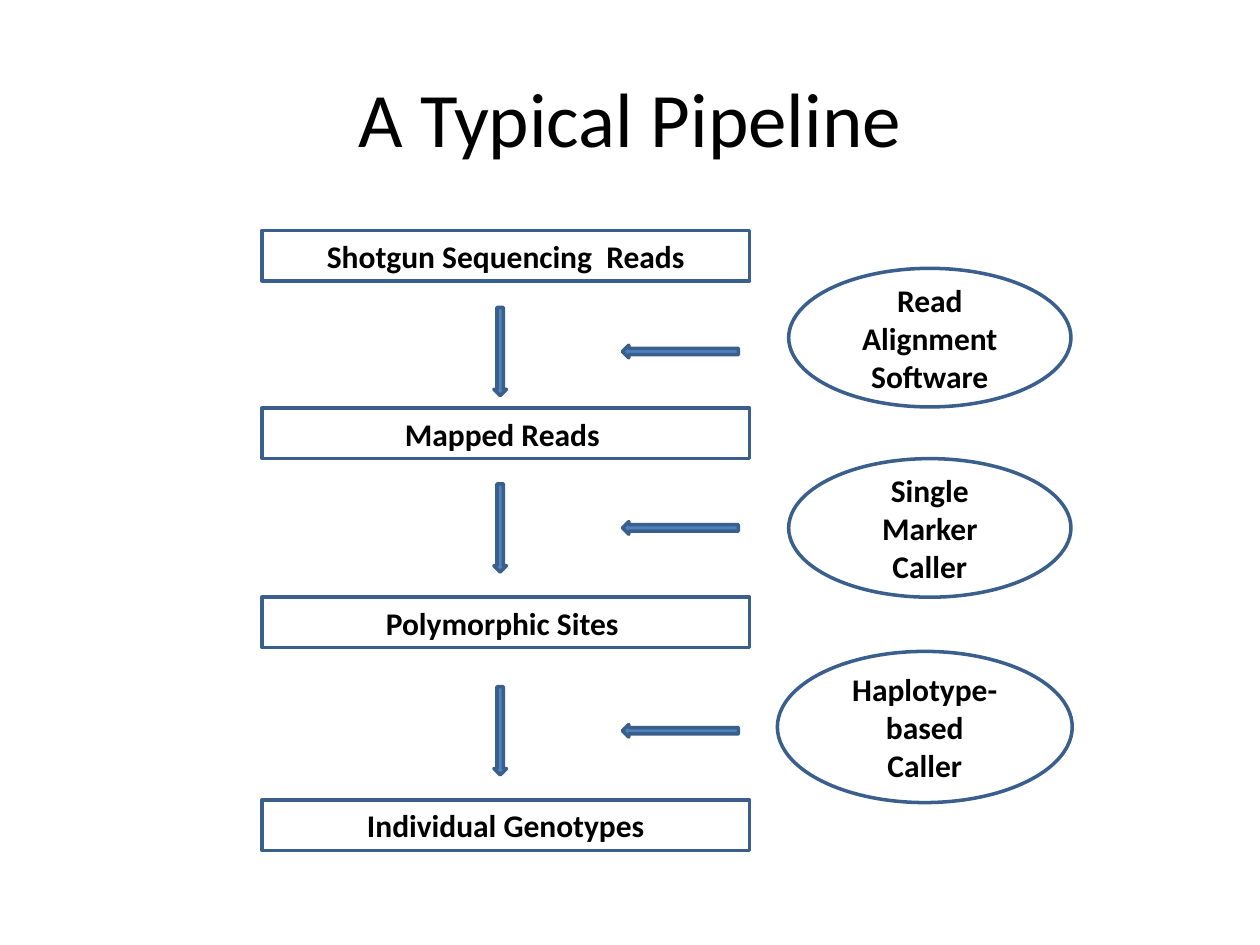
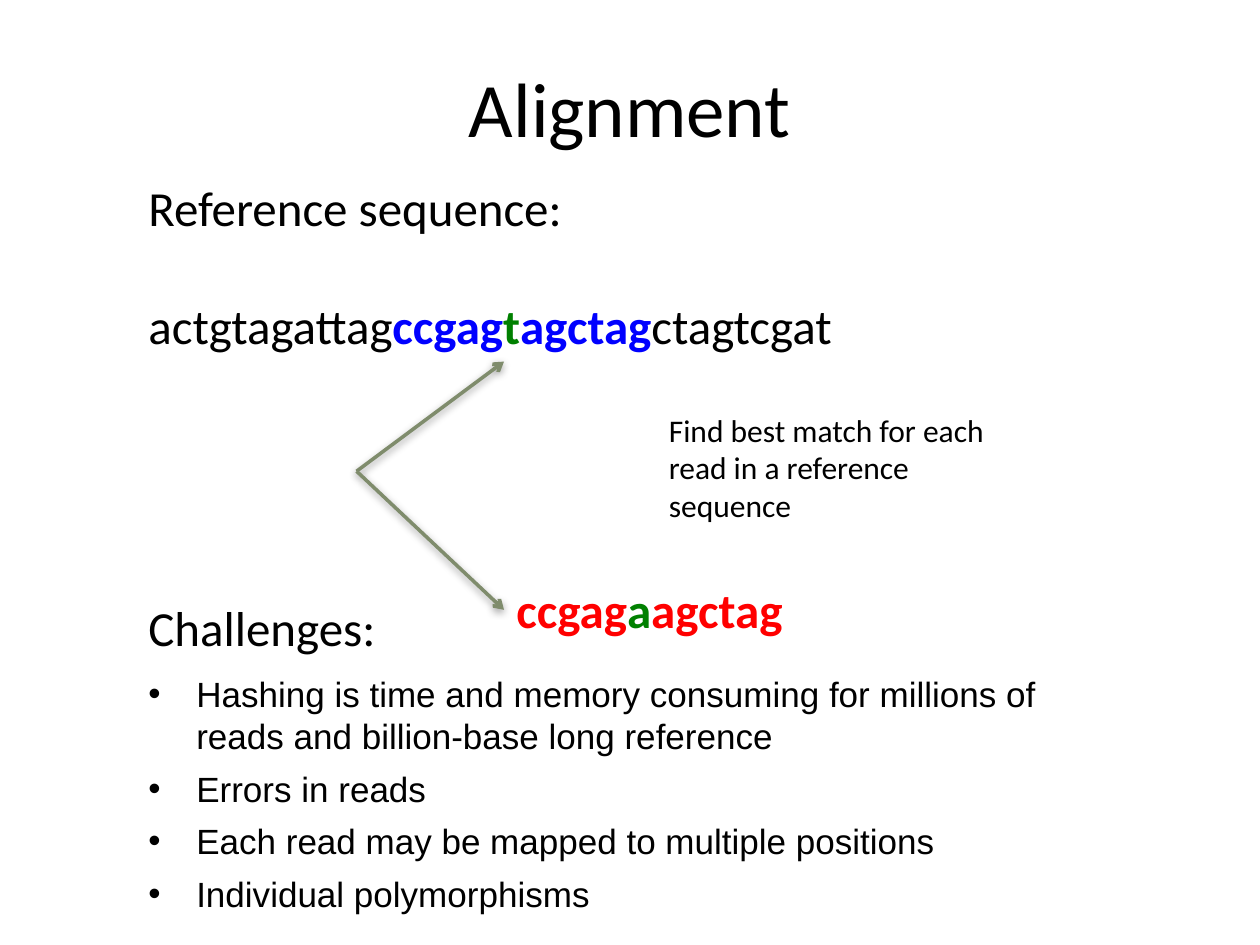
import lxml.etree
import pptx
import pptx.dml.color
import pptx.enum.shapes
import pptx.enum.text
import pptx.oxml.ns
import pptx.util

COLS, ROWS = 100, 75
WIDE, HIGH = pptx.util.Inches(10), pptx.util.Inches(7.5)
BLACK, BLUE, GREEN, RED = "000000", "0000FF", "008000", "FF0000"
EDGE, FILL, OLIVE = "3A5F8C", "4F81BD", "7F8C6C"
FORM = pptx.enum.shapes.MSO_SHAPE
ALIGN = pptx.enum.text.PP_ALIGN
ANCHOR = pptx.enum.text.MSO_ANCHOR

STEPS = [
    ("Shotgun Sequencing  Reads", 0),
    ("Mapped Reads ", 14.1),
    ("Polymorphic Sites ", 29.1),
    ("Individual Genotypes", 45.2),
]
TOOLS = [
    (["Read", "Alignment Software"], 6.1, (41.8, 3, 22.4, 11)),
    (["Single Marker Caller"], 20.1, (41.8, 18.1, 22.4, 11)),
    (["Haplotype-based", "Caller"], 36.2, (40.9, 33.4, 23.4, 12)),
]
ISSUES = [
    "Hashing is time and memory consuming for millions of reads and billion-base long reference",
    "Errors in reads",
    "Each read may be mapped to multiple positions",
    "Individual polymorphisms",
]


def color(code):
    return pptx.dml.color.RGBColor.from_string(code)


def point(x, y):
    return int(WIDE * x / COLS), int(HIGH * y / ROWS)


def place(box, x, y, w, h):
    return *point(box[0] + x, box[1] + y), *point(w, h)


def add(parent, tag, **attrs):
    return lxml.etree.SubElement(parent, pptx.oxml.ns.qn(tag), attrs)


def write(frame, paras, size, align=ALIGN.LEFT, font="Calibri", wrap=True):
    frame.word_wrap = wrap
    for num, runs in enumerate(paras):
        para = frame.add_paragraph() if num else frame.paragraphs[0]
        para.alignment = align
        for text, code, bold in runs:
            run = para.add_run()
            run.text = text
            run.font.name = font
            run.font.size = pptx.util.Pt(size)
            run.font.bold = bold
            run.font.color.rgb = color(code)
    return frame.paragraphs


def plain(text, bold=False):
    return [(text, BLACK, bold)]


def start(deck, text, top):
    slide = deck.slides.add_slide(deck.slide_layouts[5])
    title = slide.shapes.title
    title.left, title.top, title.width, title.height = place((0, 0), 5, top, 90, 12.5)
    title.text_frame.vertical_anchor = ANCHOR.MIDDLE
    write(title.text_frame, [plain(text)], 44, ALIGN.CENTER)
    return slide


def shape(slide, form, spot, fill=None, lines=()):
    item = slide.shapes.add_shape(form, *spot)
    item.shadow.inherit = False
    item.line.color.rgb = color(EDGE)
    item.line.width = pptx.util.Pt(2)
    if fill:
        item.fill.solid()
        item.fill.fore_color.rgb = color(fill)
    else:
        item.fill.background()
    if lines:
        item.text_frame.vertical_anchor = ANCHOR.MIDDLE
        write(item.text_frame, [plain(text, True) for text in lines], 18, ALIGN.CENTER)


def note(slide, spot, paras, size, **style):
    frame = slide.shapes.add_textbox(*spot).text_frame
    return frame, write(frame, paras, size, **style)


def arrow(slide, tail, head):
    link = slide.shapes.add_connector(
        pptx.enum.shapes.MSO_CONNECTOR.STRAIGHT, *point(*tail), *point(*head))
    link.line.color.rgb = color(OLIVE)
    link.line.width = pptx.util.Pt(2)
    props = link.element.spPr
    add(props.find(pptx.oxml.ns.qn("a:ln")), "a:tailEnd", type="arrow")
    shade = add(add(props, "a:effectLst"), "a:outerShdw", blurRad="63500",
                dist="20320", dir="5400000", rotWithShape="0")
    add(add(shade, "a:srgbClr", val=BLACK), "a:alpha", val="38000")


def flow(slide, box):
    for text, row in STEPS:
        shape(slide, FORM.RECTANGLE, place(box, 0, row, 38.7, 4), lines=[text])
    for lines, row, oval in TOOLS:
        shape(slide, FORM.DOWN_ARROW, place(box, 18.4, row, 1, 7), FILL)
        shape(slide, FORM.LEFT_ARROW, place(box, 28.6, row + 3, 9.2, 1), FILL)
        shape(slide, FORM.OVAL, place(box, *oval), lines=lines)


def match(slide, box):
    bases = [("actgtagattag", BLACK, False), ("ccgag", BLUE, True), ("t", GREEN, True),
             ("agctag", BLUE, True), ("ctagtcgat", BLACK, False)]
    paras = [plain("Reference sequence:"), bases]
    frame, rows = note(slide, place(box, 0, 0, 57.4, 15.1), paras, 28)
    rows[1].space_before = pptx.util.Pt(34)
    read = [("ccgag", RED, True), ("a", GREEN, True), ("agctag", RED, True)]
    note(slide, place(box, 29.2, 31.9, 23.5, 5.7), [read], 28, wrap=False)
    hint = plain("Find best match for each read in a reference sequence")
    note(slide, place(box, 41.3, 18.5, 27.5, 10.1), [hint], 18)
    left, top = box
    for row in (15.1, 34.8):
        arrow(slide, (left + 17.5, top + 23.8), (left + 29.2, top + row))


def issues(slide, box):
    note(slide, place(box, 0, 0, 22.2, 5.7), [plain("Challenges:")], 28)
    frame, rows = note(slide, place(box, 0, 6.2, 79.7, 20.5),
                       [plain(text) for text in ISSUES], 20, font="Arial")
    frame.margin_top = pptx.util.Inches(0.03)
    for para in rows:
        props = para._p.get_or_add_pPr()
        props.set("marL", str(pptx.util.Inches(0.38)))
        props.set("indent", str(-pptx.util.Inches(0.38)))
        add(props, "a:buFont", typeface="Arial")
        add(props, "a:buChar", char="•")
        para.space_after = pptx.util.Pt(6)


def main():
    deck = pptx.Presentation()
    deck.slide_width, deck.slide_height = WIDE, HIGH
    flow(start(deck, "A Typical Pipeline", 3), (20.8, 18.3))
    slide = start(deck, "Alignment", 2.2)
    match(slide, (10.8, 13.6))
    issues(slide, (10.8, 46.9))
    deck.save("out.pptx")


if __name__ == "__main__":
    main()
